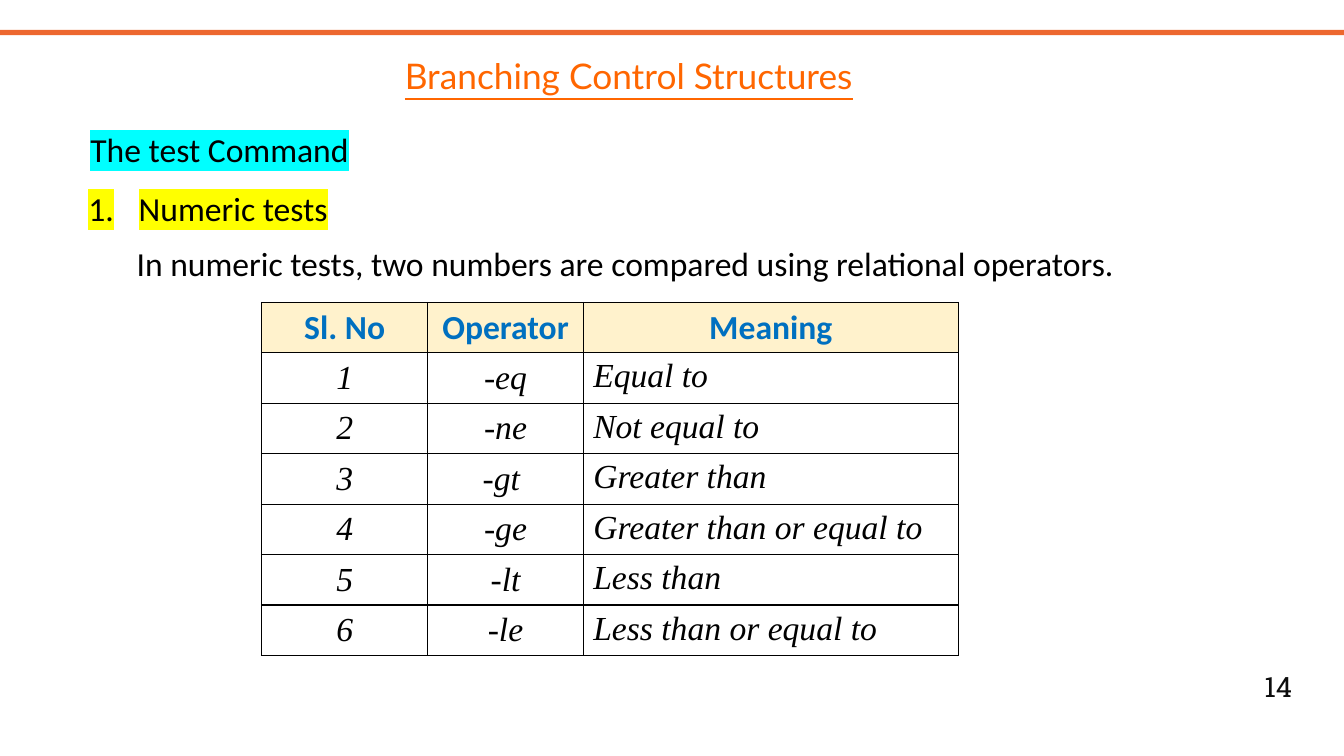
from dataclasses import dataclass
from typing import Any, Optional

from lxml.etree import SubElement
from pptx import Presentation
from pptx.dml.color import RGBColor
from pptx.enum.shapes import MSO_SHAPE as Shape
from pptx.enum.text import MSO_ANCHOR as Anchor, MSO_AUTO_SIZE as AutoSize, PP_ALIGN as Align
from pptx.oxml.ns import qn
from pptx.util import Pt


@dataclass(frozen=True)
class Theme:
    bar: str = "ED682F"
    title: str = "FF6600"
    ink: str = "000000"
    page_number: str = "0D0D0D"
    header: str = "0070C0"
    header_fill: str = "FFF2CC"
    cyan: str = "00FFFF"
    yellow: str = "FFFF00"
    title_size: float = 25.2
    body_size: float = 24
    number_size: float = 20
    title_font: str = "Lato"
    body_font: str = "Calibri"
    cell_font: str = "Times New Roman"
    number_font: str = "Roboto Slab"


THEME = Theme()


@dataclass(frozen=True)
class TextLine:
    text: str
    left: float
    top: float
    width: float
    height: float = 46
    font: str = THEME.body_font
    size: float = THEME.body_size
    color: str = THEME.ink
    align: Align = Align.JUSTIFY
    spacing: float = 1.5
    highlight: Optional[str] = None
    numbered: bool = False


LINES = [
    TextLine("14", 888.5, 474.5, 49, 32, THEME.number_font, THEME.number_size,
             THEME.page_number, Align.CENTER, 1),
    TextLine("The test Command", 57.5, 74, 773, highlight=THEME.cyan),
    TextLine("Numeric tests", 56, 116, 816, highlight=THEME.yellow, numbered=True),
    TextLine("In numeric tests, two numbers are compared using relational operators.",
             90.5, 155.5, 808),
]

HEADINGS = ("Sl. No", "Operator", "Meaning")
OPERATORS = [
    ("-eq", "Equal to"),
    ("-ne", "Not equal to"),
    ("-gt ", "Greater than"),
    ("-ge", "Greater than or equal to"),
    ("-lt", "Less than"),
    ("-le", "Less than or equal to"),
]
COLUMN_WIDTHS = (118.8, 111, 268)
ROW_HEIGHT = 36


def add_span(para: Any, text: str, color: str, **formats: Any) -> Any:
    span = para.add_run()
    span.text = text
    for name, value in formats.items():
        setattr(span.font, name, value)
    span.font.color.rgb = RGBColor.from_string(color)
    return span


def highlight_span(span: Any, color: str) -> None:
    properties = span.font._element
    mark = SubElement(properties, qn("a:highlight"))
    SubElement(mark, qn("a:srgbClr"), val=color)
    properties.find(qn("a:solidFill")).addnext(mark)


def number_paragraph(para: Any) -> None:
    properties = para._p.get_or_add_pPr()
    indent = Pt(36)
    properties.set("marL", str(indent))
    properties.set("indent", str(-indent))
    SubElement(properties, qn("a:buFont"), typeface="+mj-lt")
    SubElement(properties, qn("a:buAutoNum"), type="arabicPeriod")


def add_line(page: Any, line: TextLine) -> None:
    box = page.shapes.add_textbox(Pt(line.left), Pt(line.top), Pt(line.width), Pt(line.height))
    frame = box.text_frame
    frame.word_wrap = True
    frame.auto_size = AutoSize.SHAPE_TO_FIT_TEXT
    para = frame.paragraphs[0]
    para.alignment = line.align
    para.line_spacing = line.spacing
    if line.numbered:
        number_paragraph(para)
    span = add_span(para, line.text, line.color, name=line.font, size=Pt(line.size))
    if line.highlight:
        highlight_span(span, line.highlight)


def add_bar(page: Any, width: int) -> None:
    bar = page.shapes.add_shape(Shape.RECTANGLE, 0, Pt(21.4), width, Pt(3.8))
    bar.shadow.inherit = False
    bar.fill.solid()
    bar.fill.fore_color.rgb = RGBColor.from_string(THEME.bar)
    bar.line.fill.background()


def format_title(page: Any) -> None:
    title = page.shapes.title
    place = {"left": 282, "top": 26.6, "width": 364, "height": 55}
    for name, value in place.items():
        setattr(title, name, Pt(value))
    frame = title.text_frame
    frame.word_wrap = True
    frame.auto_size = AutoSize.NONE
    frame.vertical_anchor = Anchor.MIDDLE
    para = frame.paragraphs[0]
    para.alignment = Align.LEFT
    add_span(para, "Branching Control Structures", THEME.title, name=THEME.title_font,
             size=Pt(THEME.title_size), underline=True)


def add_borders(cell: Any) -> None:
    properties = cell._tc.get_or_add_tcPr()
    for side in ("lnL", "lnR", "lnT", "lnB"):
        border = SubElement(properties, qn(f"a:{side}"), w=str(Pt(1)))
        fill = SubElement(border, qn("a:solidFill"))
        SubElement(fill, qn("a:srgbClr"), val=THEME.ink)


def fill_cell(cell: Any, text: str, is_header: bool, is_meaning: bool) -> None:
    add_borders(cell)
    para = cell.text_frame.paragraphs[0]
    para.alignment = Align.LEFT if is_meaning and not is_header else Align.CENTER
    if is_header:
        cell.fill.solid()
        cell.fill.fore_color.rgb = RGBColor.from_string(THEME.header_fill)
    else:
        cell.fill.background()
    cell.vertical_anchor = Anchor.TOP if is_header or is_meaning else Anchor.MIDDLE
    add_span(para, text, THEME.header if is_header else THEME.ink,
             name=THEME.body_font if is_header else THEME.cell_font,
             size=Pt(THEME.body_size), bold=is_header, italic=not is_header)


def add_operator_table(page: Any) -> None:
    rows = [HEADINGS] + [(str(number), *row) for number, row in enumerate(OPERATORS, 1)]
    table = page.shapes.add_table(len(rows), len(HEADINGS), Pt(186.8), Pt(216),
                                  Pt(sum(COLUMN_WIDTHS)), Pt(ROW_HEIGHT * len(rows))).table
    table.first_row = False
    table.horz_banding = False
    for column, width in zip(table.columns, COLUMN_WIDTHS):
        column.width = Pt(width)
    for row_index, row in enumerate(rows):
        for column_index, text in enumerate(row):
            fill_cell(table.cell(row_index, column_index), text,
                      row_index == 0, column_index == len(HEADINGS) - 1)


def main() -> None:
    deck = Presentation()
    deck.slide_width, deck.slide_height = Pt(960), Pt(540)
    page = deck.slides.add_slide(deck.slide_layouts[5])
    add_bar(page, deck.slide_width)
    format_title(page)
    for line in LINES:
        add_line(page, line)
    add_operator_table(page)
    deck.save("out.pptx")


if __name__ == "__main__":
    main()
